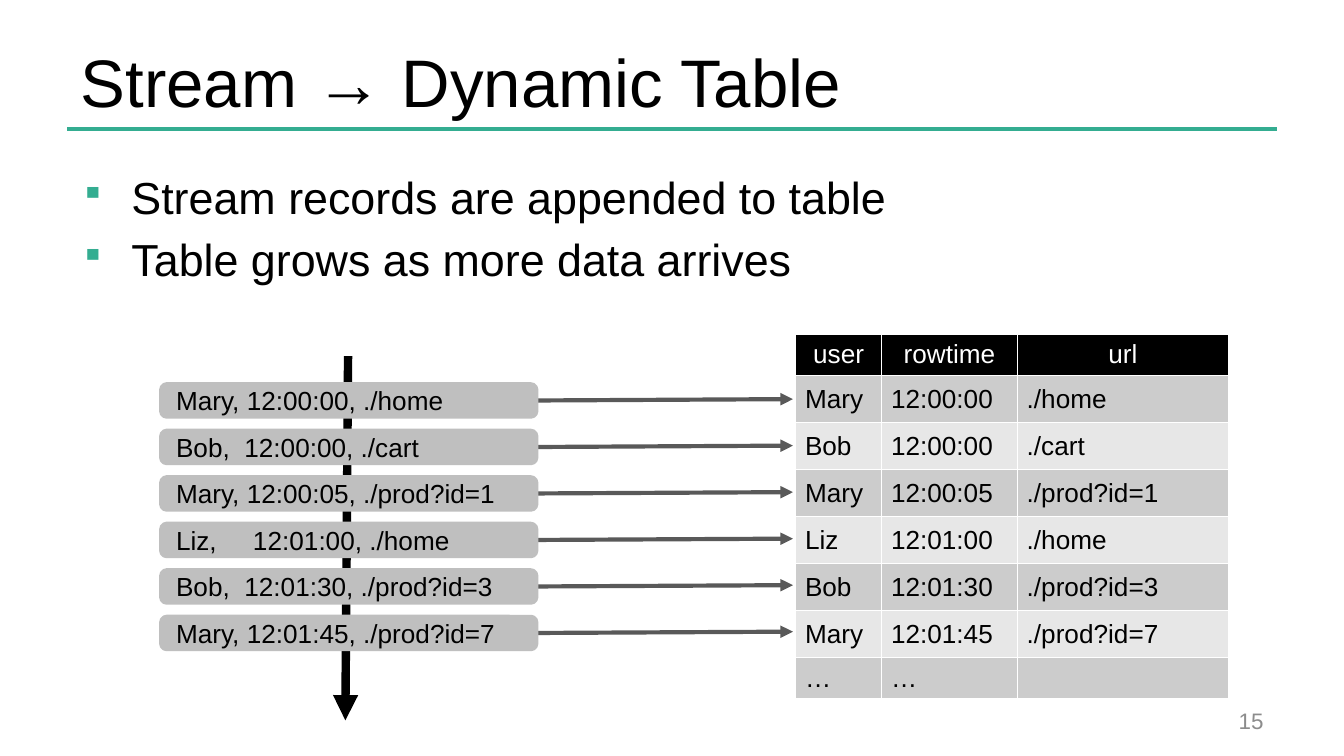
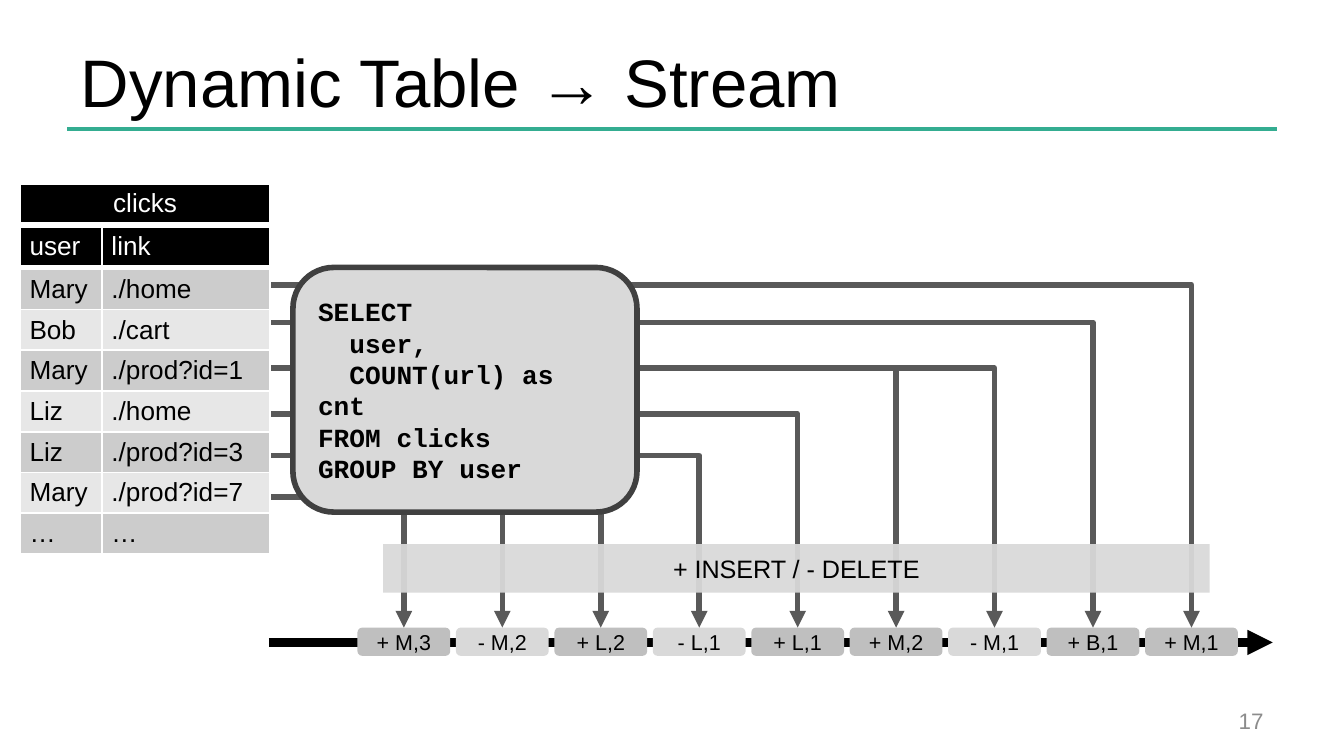
from pptx import Presentation
from pptx.dml.color import RGBColor
from pptx.enum.shapes import MSO_CONNECTOR, MSO_SHAPE
from pptx.enum.text import MSO_ANCHOR, PP_ALIGN
from pptx.oxml.ns import qn
from pptx.oxml.xmlchemy import OxmlElement
from pptx.util import Inches, Pt

STRAIGHT, ELBOW = MSO_CONNECTOR.STRAIGHT, MSO_CONNECTOR.ELBOW
ROUNDED, RECTANGLE = MSO_SHAPE.ROUNDED_RECTANGLE, MSO_SHAPE.RECTANGLE
LEFT, CENTER, RIGHT = PP_ALIGN.LEFT, PP_ALIGN.CENTER, PP_ALIGN.RIGHT
TOP, MIDDLE = MSO_ANCHOR.TOP, MSO_ANCHOR.MIDDLE

BLACK = RGBColor(0x00, 0x00, 0x00)
WHITE = RGBColor(0xFF, 0xFF, 0xFF)
TEAL = RGBColor(0x34, 0xAD, 0x91)
ARROW_GRAY = RGBColor(0x59, 0x59, 0x59)
OUTLINE_GRAY = RGBColor(0x40, 0x40, 0x40)
NUMBER_GRAY = RGBColor(0x8C, 0x8C, 0x8C)
INSERT_GRAY = RGBColor(0xBF, 0xBF, 0xBF)
DELETE_GRAY = RGBColor(0xD9, 0xD9, 0xD9)
BAND_FILLS = (RGBColor(0xCC, 0xCC, 0xCC), RGBColor(0xE7, 0xE7, 0xE7))

BULLETS = ("Stream records are appended to table", "Table grows as more data arrives")
RECORDS = (
    "Mary, 12:00:00, ./home",
    "Bob,  12:00:00, ./cart",
    "Mary, 12:00:05, ./prod?id=1",
    "Liz,     12:01:00, ./home",
    "Bob,  12:01:30, ./prod?id=3",
    "Mary, 12:01:45, ./prod?id=7",
)
VISITS = (
    ("user", "rowtime", "url"),
    ("Mary", "12:00:00", "./home"),
    ("Bob", "12:00:00", "./cart"),
    ("Mary", "12:00:05", "./prod?id=1"),
    ("Liz", "12:01:00", "./home"),
    ("Bob", "12:01:30", "./prod?id=3"),
    ("Mary", "12:01:45", "./prod?id=7"),
    ("…", "…", ""),
)
CLICKS = (
    ("Mary", "./home"),
    ("Bob", "./cart"),
    ("Mary", "./prod?id=1"),
    ("Liz", "./home"),
    ("Liz", "./prod?id=3"),
    ("Mary", "./prod?id=7"),
    ("…", "…"),
)
QUERY = ("SELECT", "  user,", "  COUNT(url) as cnt\vFROM clicks\vGROUP BY user")
CHANGES = (
    ("+ M,3", 0.69, 3.7),
    ("- M,2", 0.94, 3.7),
    ("+ L,2", 0.63, 3.39),
    ("- L,1", 1.21, 3.39),
    ("+ L,1", 2, 3.08),
    ("+ M,2", 0.84, 2.74),
    ("- M,1", 5.16, 2.74),
    ("+ B,1", 1.57, 2.4),
    ("+ M,1", 1.57, 2.12),
)


def write(frame, lines, size, color=BLACK, align=LEFT, anchor=MIDDLE, font="Arial", bold=False):
    frame.word_wrap = True
    frame.vertical_anchor = anchor
    for index, line in enumerate(lines):
        paragraph = frame.paragraphs[0] if index == 0 else frame.add_paragraph()
        paragraph.text = line
        paragraph.alignment = align
        paragraph.font.name = font
        paragraph.font.size = Pt(size)
        paragraph.font.bold = bold
        paragraph.font.color.rgb = color


def make_element(tag, **attributes):
    element = OxmlElement(tag)
    for name, value in attributes.items():
        element.set(name, str(value))
    return element


def add_line(slide, start, end, color, width, arrow=True, kind=STRAIGHT):
    line = slide.shapes.add_connector(kind, *(Inches(v) for v in (*start, *end)))
    line.line.color.rgb = color
    line.line.width = Pt(width)
    properties = line._element.spPr
    if kind == ELBOW:
        properties.find(qn("a:prstGeom")).set("prst", "bentConnector2")
    if arrow:
        properties.find(qn("a:ln")).append(make_element("a:tailEnd", type="triangle"))
    properties.append(make_element("a:effectLst"))
    return line


def add_box(slide, kind, place, fill, outline=None, width=0):
    box = slide.shapes.add_shape(kind, *(Inches(v) for v in place))
    box.shadow.inherit = False
    box.fill.solid()
    box.fill.fore_color.rgb = fill
    if outline is None:
        box.line.fill.background()
    else:
        box.line.color.rgb = outline
        box.line.width = Pt(width)
    return box


def add_text(slide, place):
    return slide.shapes.add_textbox(*(Inches(v) for v in place)).text_frame


def set_borders(cell, bottom):
    properties = cell._tc.get_or_add_tcPr()
    for index, (side, width) in enumerate((("L", 1), ("R", 1), ("T", 1), ("B", bottom))):
        border = make_element(f"a:ln{side}", w=Pt(width))
        fill = make_element("a:solidFill")
        fill.append(make_element("a:srgbClr", val=WHITE))
        border.append(fill)
        properties.insert(index, border)


def add_grid(slide, left, top, widths, heights, rows, headers=0, header_align=CENTER):
    grid = slide.shapes.add_table(
        len(rows), len(widths), Inches(left), Inches(top),
        Inches(sum(widths)), Inches(sum(heights))).table
    grid.first_row = headers > 0
    grid.horz_banding = False
    header_bottom = 3 if headers == len(rows) else 1
    for column, width in zip(grid.columns, widths):
        column.width = Inches(width)
    for r, (height, values) in enumerate(zip(heights, rows)):
        grid.rows[r].height = Inches(height)
        header = r < headers
        for c, value in enumerate(values):
            cell = grid.cell(r, c)
            cell.margin_left = cell.margin_right = Inches(0.07)
            cell.margin_top = cell.margin_bottom = Pt(2.5)
            cell.fill.solid()
            cell.fill.fore_color.rgb = BLACK if header else BAND_FILLS[(r - headers) % 2]
            write(cell.text_frame, [value], 14, WHITE if header else BLACK,
                  header_align if header else LEFT)
            cell.vertical_anchor = TOP if header else MIDDLE
            if not value:
                cell.text_frame.paragraphs[0]._p.append(
                    make_element("a:endParaRPr", sz=1400))
            set_borders(cell, header_bottom if header else 1)


def start_slide(deck, heading, number):
    slide = deck.slides.add_slide(deck.slide_layouts[5])
    title = slide.shapes.title
    title.left, title.top, title.width, title.height = (
        Inches(v) for v in (0.5, 0.23, 8.5, 0.74))
    write(title.text_frame, [heading], 36)
    add_line(slide, (0.5, 0.96), (9.5, 0.96), TEAL, 2, arrow=False)
    write(add_text(slide, (7.17, 5.21, 2.33, 0.3)), [number], 12, NUMBER_GRAY, RIGHT)
    return slide


def add_bullets(slide):
    frame = add_text(slide, (0.5, 1.21, 9, 3.82))
    write(frame, BULLETS, 24, anchor=TOP)
    for paragraph in frame.paragraphs:
        paragraph.space_before = Pt(4.8)
        properties = paragraph._p.get_or_add_pPr()
        properties.set("marL", str(Inches(0.38)))
        properties.set("indent", str(-Inches(0.38)))
        bullet_color = make_element("a:buClr")
        bullet_color.append(make_element("a:srgbClr", val=TEAL))
        run_defaults = properties.find(qn("a:defRPr"))
        for part in (bullet_color, make_element("a:buSzPct", val=75000),
                     make_element("a:buChar", char="▪")):
            run_defaults.addprevious(part)


def build_stream_to_table(deck):
    slide = start_slide(deck, "Stream → Dynamic Table", "15")
    add_bullets(slide)
    add_line(slide, (2.59, 2.65), (2.57, 5.36), BLACK, 4.5)
    add_grid(slide, 5.92, 2.49, (0.64, 1.01, 1.57), (0.28, *[0.35] * 6, 0.23), VISITS, headers=1)
    left, top, width, height = 1.2, 2.86, 2.79, 0.24
    pitch = (4.59 - top) / (len(RECORDS) - 1)
    for index, text in enumerate(RECORDS):
        y = top + index * pitch
        middle = y + height / 2
        arrow = add_line(slide, (left + width, middle), (5.9, middle - 0.01), ARROW_GRAY, 2.25)
        record = add_box(slide, ROUNDED, (left, y, width, height), INSERT_GRAY, INSERT_GRAY, 2.25)
        write(record.text_frame, [text], 14)
        arrow.begin_connect(record, 3)


def build_table_to_stream(deck):
    slide = start_slide(deck, "Dynamic Table → Stream", "17")
    add_line(slide, (2, 4.78), (9.47, 4.78), BLACK, 4.5)
    left, top, width, height = 2.66, 4.67, 0.69, 0.21
    pitch = (8.52 - left) / (len(CHANGES) - 1)
    for index, (label, start_x, start_y) in enumerate(CHANGES):
        x = left + index * pitch
        fill = INSERT_GRAY if label.startswith("+") else DELETE_GRAY
        change = add_box(slide, ROUNDED, (x, top, width, height), fill)
        write(change.text_frame, [label], 11.5, align=CENTER)
        add_line(slide, (start_x, start_y), (x + width / 2, top), ARROW_GRAY, 3, kind=ELBOW)

    columns = (0.61, 1.25)
    add_grid(slide, 0.15, 1.37, (sum(columns),), (0.28,), [("clicks",)], headers=1)
    add_grid(slide, 0.15, 1.69, columns, (0.28,), [("user", "link")], headers=1, header_align=LEFT)
    add_grid(slide, 0.15, 2, columns, [0.28] * len(CLICKS), CLICKS)

    query = add_box(slide, ROUNDED, (2.18, 1.99, 2.56, 1.82), DELETE_GRAY, OUTLINE_GRAY, 3)
    write(query.text_frame, QUERY, 14, font="Courier New", bold=True)

    legend = add_box(slide, RECTANGLE, (2.85, 4.05, 6.15, 0.36), DELETE_GRAY)
    legend._element.spPr.find(qn("a:solidFill"))[0].append(make_element("a:alpha", val=94000))
    write(legend.text_frame, ["+ INSERT / - DELETE"], 13.5, align=CENTER)


def main():
    deck = Presentation()
    deck.slide_width = Inches(10)
    deck.slide_height = deck.slide_width * 9 // 16
    build_stream_to_table(deck)
    build_table_to_stream(deck)
    deck.save("out.pptx")


if __name__ == "__main__":
    main()
